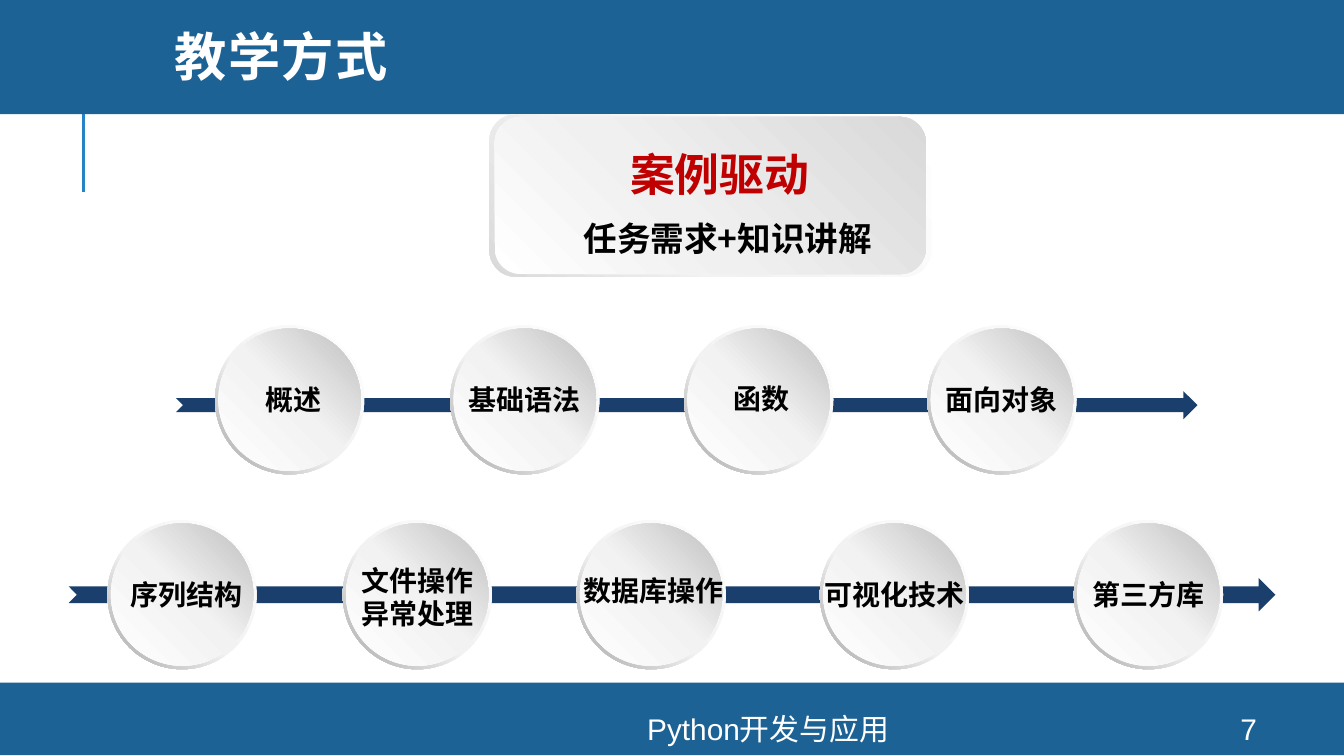
import pptx
import pptx.util
import pptx.dml.color
import pptx.enum.shapes
import pptx.enum.text
import pptx.oxml
import pptx.oxml.ns
from lxml import etree

Inches = pptx.util.Inches
Pt = pptx.util.Pt
qn = pptx.oxml.ns.qn
SHAPE = pptx.enum.shapes.MSO_SHAPE
ALIGN = pptx.enum.text.PP_ALIGN
ANCHOR = pptx.enum.text.MSO_ANCHOR

COLORS = {
    "band": "1D6294",
    "rule": "2683C6",
    "arrow": "1A3F6C",
    "white": "FFFFFF",
    "black": "000000",
    "red": "C00000",
}
CJK = "Noto Sans CJK SC"

GRADIENTS = {
    "ring": (135, [(0, "FFFFFF"), (55, "F2F2F2"), (100, "A6A6A6")]),
    "disc": (315, [(0, "FFFFFF"), (51, "F2F2F2"), (100, "BFBFBF")]),
    "card_edge": (135, [(0, "FFFFFF"), (62, "F2F2F2"), (100, "D9D9D9")]),
    "card": (315, [(0, "FFFFFF"), (42, "F0F0F0"), (100, "D9D9D9")]),
}

TITLE = "教学方式"
FOOTER = "Python开发与应用"
PAGE = "7"
CARD_TEXT = [
    ("案例驱动", (4.25, 1.09, 2.21, 0.4), 24, "red"),
    ("任务需求+知识讲解", (4.06, 1.62, 2.71, 0.3), 18, "black"),
]

ROWS = [
    {
        "arrow": (1.31, 2.91, 7.6, 0.21),
        "top": 2.42,
        "topics": [
            (1.6, ["概述"], 0.03, 0),
            (3.35, ["基础语法"], 0, 0),
            (5.09, ["函数"], 0.02, -0.01),
            (6.9, ["面向对象"], 0, 0),
        ],
    },
    {
        "arrow": (0.51, 4.3, 8.98, 0.25),
        "top": 3.87,
        "topics": [
            (0.8, ["序列结构"], 0.03, 0),
            (2.55, ["文件操作", "异常处理"], 0, 0.02),
            (4.29, ["数据库操作"], 0.02, -0.03),
            (6.1, ["可视化技术"], 0, 0),
            (7.99, ["第三方库"], 0, 0),
        ],
    },
]
RING, DISC = 1.11, 1.06
LABEL_SIZE, LINE_HEIGHT = 15, 0.26


def rgb(name):
    return pptx.dml.color.RGBColor.from_string(COLORS[name])


def add_shape(s, kind, box, color=None, gradient=None):
    sp = s.shapes.add_shape(kind, *map(Inches, box))
    sp.shadow.inherit = False
    sp.line.fill.background()
    if color:
        sp.fill.solid()
        sp.fill.fore_color.rgb = rgb(color)
    else:
        angle, stops = GRADIENTS[gradient]
        sp.fill.gradient()
        sp.fill.gradient_angle = 360 - angle
        gs_list = next(sp._element.spPr.iter(qn("a:gsLst")))
        for gs in list(gs_list):
            gs_list.remove(gs)
        for pos, value in stops:
            gs = etree.SubElement(gs_list, qn("a:gs"), pos=str(pos * 1000))
            etree.SubElement(gs, qn("a:srgbClr"), val=value)
    return sp


def add_text(s, box, lines, size, color, font=CJK, bold=True, align=ALIGN.CENTER,
             anchor=ANCHOR.TOP, wrap=True, inset=True):
    tf = s.shapes.add_textbox(*map(Inches, box)).text_frame
    tf.word_wrap = wrap
    tf.vertical_anchor = anchor
    if not inset:
        tf.margin_left = tf.margin_right = tf.margin_top = tf.margin_bottom = 0
    for i, line in enumerate(lines):
        p = tf.paragraphs[0] if i == 0 else tf.add_paragraph()
        p.alignment = align
        r = p.add_run()
        r.text = line
        r.font.size = Pt(size)
        r.font.bold = bold
        r.font.color.rgb = rgb(color)
        r.font.name = font
        if font == CJK:
            etree.SubElement(r.font._element, qn("a:ea"), typeface=font)
    return tf


def add_topic(s, left, top, lines, dx, dy):
    add_shape(s, SHAPE.DONUT, (left, top, RING, RING), gradient="ring").adjustments[0] = 0.049
    gap = (RING - DISC) / 2
    add_shape(s, SHAPE.OVAL, (left + gap, top + gap, DISC, DISC), gradient="disc")
    width = 0.2 + 0.21 * max(map(len, lines))
    height = 0.09 + LINE_HEIGHT * len(lines)
    box = (left + (RING - width) / 2 + dx, top + (RING - height) / 2 + dy, width, height)
    add_text(s, box, lines, LABEL_SIZE, "black", wrap=False)


def main():
    prs = pptx.Presentation()
    prs.slide_width = Inches(10)
    prs.slide_height = Inches(10 * 9 / 16)
    s = prs.slides.add_slide(prs.slide_layouts[6])

    rule = s.shapes.add_connector(pptx.enum.shapes.MSO_CONNECTOR.STRAIGHT,
                                  Inches(0.62), Inches(1.43), Inches(0.62), Inches(0.68))
    rule.line.color.rgb = rgb("rule")
    rule.line.width = Pt(1.5)
    etree.SubElement(rule._element.spPr, qn("a:effectLst"))

    for box in [(0, 5.08, 10, 0.54), (0, -0.03, 10, 0.88)]:
        add_shape(s, SHAPE.RECTANGLE, box, color="band")

    tf = add_text(s, (1.2, 0, 8.49, 0.91), [TITLE], 28, "white", font="Montserrat",
                  align=ALIGN.LEFT, anchor=ANCHOR.MIDDLE)
    p = tf.paragraphs[0]
    p.line_spacing = 0.8
    p.runs[0].font._element.set("spc", "80")

    for text, left, width in [(FOOTER, 2.61, 6.21), (PAGE, 8.89, 0.8)]:
        add_text(s, (left, 5.31, width, 0.23), [text], 16, "white", font="Arial",
                 bold=False, anchor=ANCHOR.MIDDLE)

    for row in ROWS:
        add_shape(s, SHAPE.NOTCHED_RIGHT_ARROW, row["arrow"], color="arrow")
        for left, lines, dx, dy in row["topics"]:
            add_topic(s, left, row["top"], lines, dx, dy)

    add_shape(s, SHAPE.ROUNDED_RECTANGLE, (3.64, 0.85, 3.29, 1.21), gradient="card_edge")
    add_shape(s, SHAPE.ROUNDED_RECTANGLE, (3.68, 0.87, 3.21, 1.17), gradient="card")
    for text, box, size, color in CARD_TEXT:
        add_text(s, box, [text], size, color, inset=False)

    prs.save("out.pptx")


if __name__ == "__main__":
    main()
